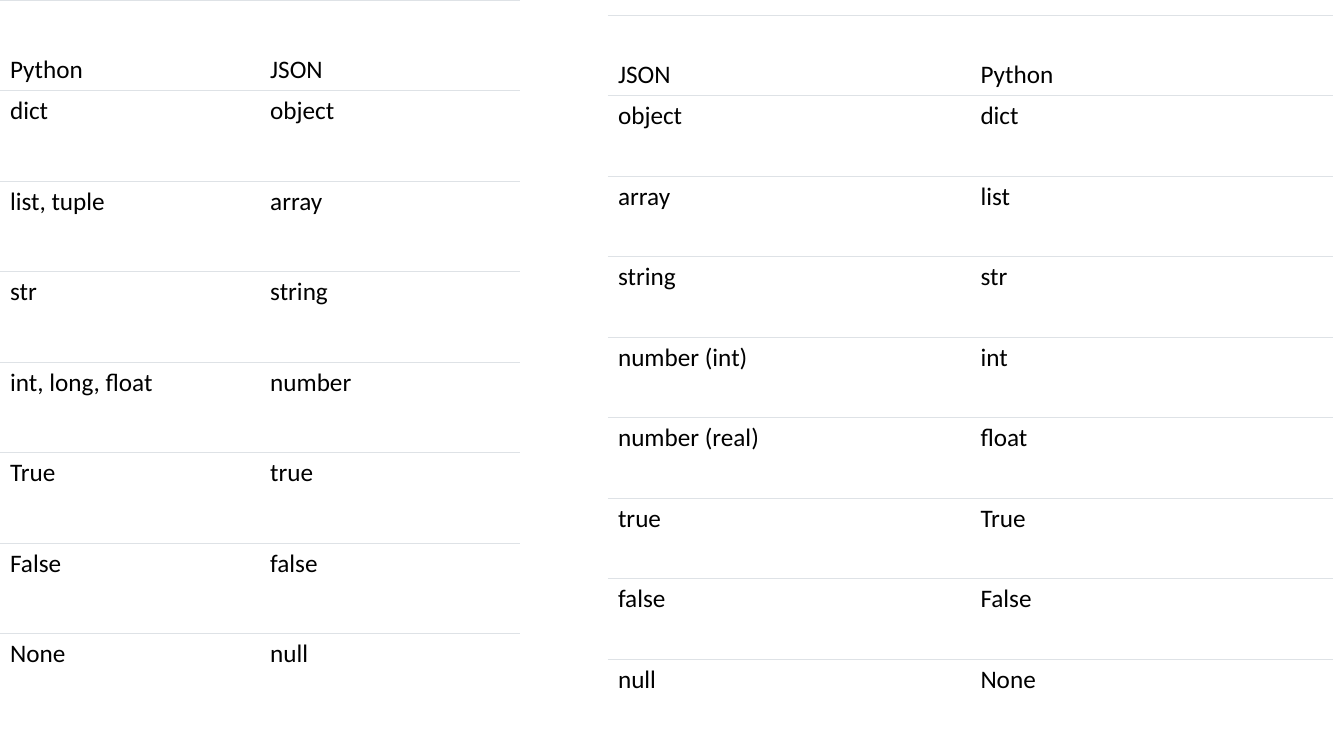
from lxml.etree import SubElement
from pptx import Presentation
from pptx.dml.color import RGBColor
from pptx.enum.text import MSO_ANCHOR
from pptx.oxml.ns import qn
from pptx.util import Inches, Pt

COLORS = {"text": "000000", "fill": "FFFFFF", "rule": "DEE2E6"}
NO_STYLE = "{2D5ABB26-0587-4C30-8999-92F81FD0307C}"
HEIGHT = 7.19

decode = [
    ("JSON", "Python"),
    ("object", "dict"),
    ("array", "list"),
    ("string", "str"),
    ("number (int)", "int"),
    ("number (real)", "float"),
    ("true", "True"),
    ("false", "False"),
    ("null", "None"),
]
encode = [
    ("Python", "JSON"),
    ("dict", "object"),
    ("list, tuple", "array"),
    ("str", "string"),
    ("int, long, float", "number"),
    ("True", "true"),
    ("False", "false"),
    ("None", "null"),
]


def write(cell, text, size=18, font="Calibri", color="text", anchor=MSO_ANCHOR.TOP):
    cell.vertical_anchor = anchor
    run = cell.text_frame.paragraphs[0].add_run()
    run.text = text
    run.font.size = Pt(size)
    run.font.name = font
    run.font.color.rgb = RGBColor.from_string(COLORS[color])


def rule(cell, side):
    """Draw a thin line on one side of a cell; call before setting its fill."""
    line = SubElement(cell._tc.get_or_add_tcPr(), qn(f"a:ln{side}"), w=str(Pt(0.75)))
    fill = SubElement(line, qn("a:solidFill"))
    SubElement(fill, qn("a:srgbClr"), val=COLORS["rule"])


prs = Presentation()
prs.slide_width = Inches(13.33)
prs.slide_height = Inches(7.5)
slide = prs.slides.add_slide(prs.slide_layouts[6])

for pairs, left, top, width in [
    (decode, 6.03, 0.15, 7.19),
    (encode, 0, 0, 5.16),
]:
    frame = slide.shapes.add_table(
        len(pairs), 2, Inches(left), Inches(top), Inches(width), Inches(HEIGHT)
    )
    table = frame.table
    table.first_row = table.horz_banding = False
    table._tbl.tblPr.find(qn("a:tableStyleId")).text = NO_STYLE

    for row, pair in enumerate(pairs):
        for col, text in enumerate(pair):
            cell = table.cell(row, col)
            write(cell, text, anchor=MSO_ANCHOR.TOP if row else MSO_ANCHOR.BOTTOM)
            rule(cell, "T")
            if row < len(pairs) - 1:
                rule(cell, "B")
            cell.fill.solid()
            cell.fill.fore_color.rgb = RGBColor.from_string(COLORS["fill"])

prs.save("out.pptx")
